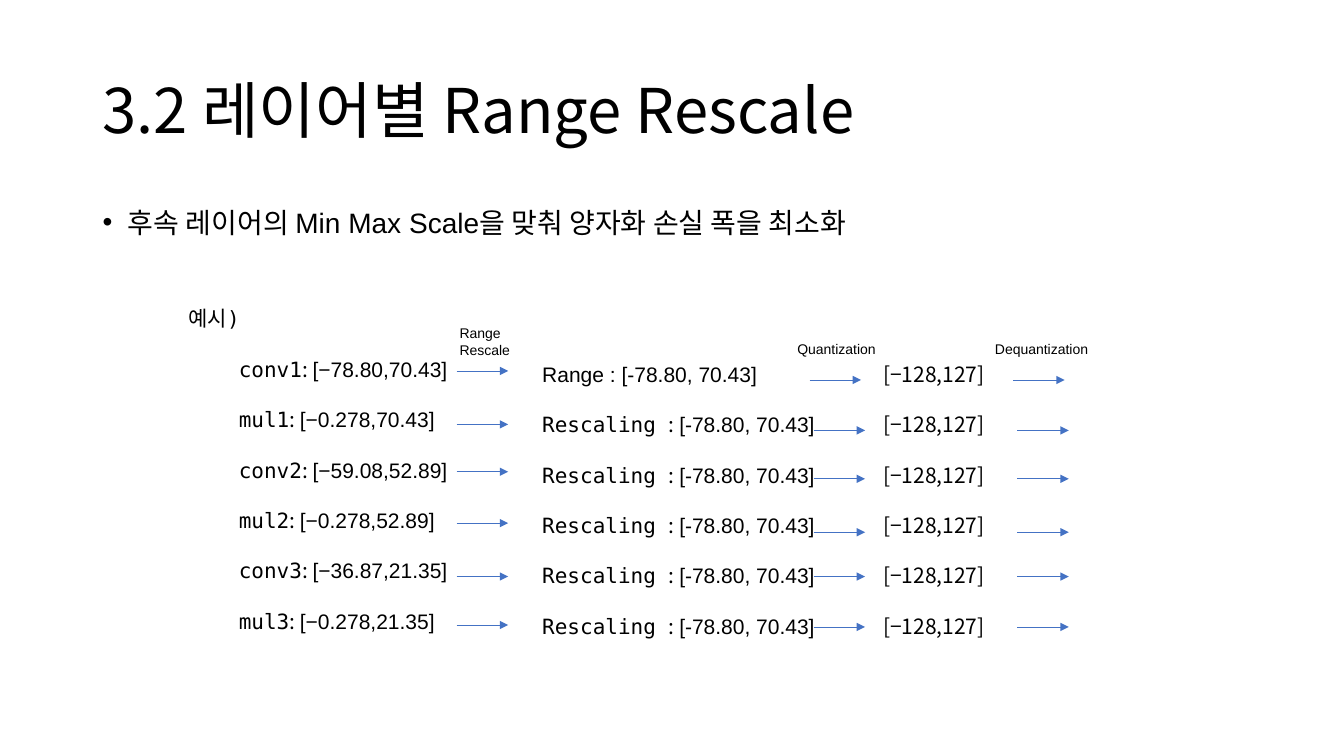
import pptx
import pptx.dml.color
import pptx.enum.shapes
import pptx.enum.text
import pptx.oxml.ns
import pptx.util
from lxml import etree

EMU_PER_PX = 9144
SANS, MONO, KOREAN = "Arial", "DejaVu Sans Mono", "Noto Sans CJK KR"
MIDDLE = pptx.enum.text.MSO_ANCHOR.MIDDLE
TOP = pptx.enum.text.MSO_ANCHOR.TOP


def px(length):
    return pptx.util.Emu(length * EMU_PER_PX)


def color(hex_code):
    return pptx.dml.color.RGBColor.from_string(hex_code)


def add_xml(parent, tag, **attributes):
    return etree.SubElement(parent, pptx.oxml.ns.qn(tag), attributes)


class SlideBuilder:
    text_color = "000000"
    arrow_color = "4472C4"
    arrow_length = 51
    indent = 50

    def __init__(self, slide):
        self.slide = slide

    def text_box(self, bounds, anchor=TOP):
        box = self.slide.shapes.add_textbox(*map(px, bounds))
        frame = box.text_frame
        frame.word_wrap = True
        frame.vertical_anchor = anchor
        return frame

    def paragraph(self, frame, spans, size, indent=0, gap=0, spacing=None):
        """Add a paragraph of (text, font) spans; lines are 1.2 times the size unless spacing is given."""
        first = frame.paragraphs[0]
        para = frame.add_paragraph() if first.runs else first
        para.line_spacing = spacing or pptx.util.Pt(size * 1.2)
        para.space_before = pptx.util.Pt(gap)
        para._p.get_or_add_pPr().set("marL", str(px(indent)))
        for text, font_name in spans:
            span = para.add_run()
            span.text = text
            span.font.name = font_name
            span.font.size = pptx.util.Pt(size)
            span.font.color.rgb = color(self.text_color)
            add_xml(span._r.get_or_add_rPr(), "a:ea", typeface=KOREAN)
        return para

    def title(self, text, bounds):
        frame = self.text_box(bounds, MIDDLE)
        self.paragraph(frame, [(text, KOREAN)], 44, spacing=0.9)

    def bullet(self, text, bounds):
        para = self.paragraph(self.text_box(bounds), [(text, SANS)], 20, indent=25)
        properties = para._p.get_or_add_pPr()
        properties.set("indent", str(px(-25)))
        add_xml(properties, "a:buFont", typeface=SANS)
        add_xml(properties, "a:buChar", char="•")

    def label(self, text, bounds):
        self.paragraph(self.text_box(bounds), [(text, SANS)], 10, self.indent)

    def column(self, rows, bounds, heading=None):
        """Stack rows one empty line apart, under an optional unindented heading."""
        frame = self.text_box(bounds, MIDDLE)
        if heading:
            self.paragraph(frame, [(heading, MONO)], 15)
        for index, spans in enumerate(rows):
            gap = 18 if index or heading else 0
            self.paragraph(frame, spans, 15, self.indent, gap)

    def arrow(self, left, y):
        connector = self.slide.shapes.add_connector(
            pptx.enum.shapes.MSO_CONNECTOR.STRAIGHT,
            px(left), px(y), px(left + self.arrow_length), px(y))
        connector.line.color.rgb = color(self.arrow_color)
        connector.line.width = pptx.util.Pt(0.5)
        add_xml(connector.line._get_or_add_ln(), "a:tailEnd", type="triangle")
        add_xml(connector._element.spPr, "a:effectLst")


def main():
    deck = pptx.Presentation()
    deck.slide_width, deck.slide_height = px(1333), px(750)
    page = SlideBuilder(deck.slides.add_slide(deck.slide_layouts[6]))

    page.title("3.2 레이어별 Range Rescale", (92, 40, 1150, 145))
    page.bullet("후속 레이어의 Min Max Scale을 맞춰 양자화 손실 폭을 최소화",
                (92, 199, 1150, 77))

    layer_ranges = [
        ("conv1", "[−78.80,70.43]"), ("mul1", "[−0.278,70.43]"),
        ("conv2", "[−59.08,52.89]"), ("mul2", "[−0.278,52.89]"),
        ("conv3", "[−36.87,21.35]"), ("mul3", "[−0.278,21.35]"),
    ]
    layers = [[(name, MONO), (": ", KOREAN), (limits, SANS)]
              for name, limits in layer_ranges]
    rescaling = [("Rescaling ", MONO), (": ", KOREAN), ("[-78.80, 70.43]", SANS)]
    rescaled = [[("Range : [-78.80, 70.43]", SANS)]] + [rescaling] * 5
    quantized = [[("[−128,127]", KOREAN)]] * 6
    page.column(layers, (177, 297, 363, 338), heading="예시)")
    page.column(rescaled, (478, 352, 376, 288))
    page.column(quantized, (816, 352, 234, 288))

    page.label("Range Rescale", (396, 317, 152, 44))
    page.label("Quantization", (731, 333, 152, 27))
    page.label("Dequantization", (927, 333, 173, 27))

    for y in (368, 421, 468, 519, 572, 620):
        page.arrow(453, y)
    for left in (807, 1009):
        for row, y in enumerate((377, 427, 475, 528, 572, 622)):
            page.arrow(left if row else left - 4, y)

    deck.save("out.pptx")


if __name__ == "__main__":
    main()
